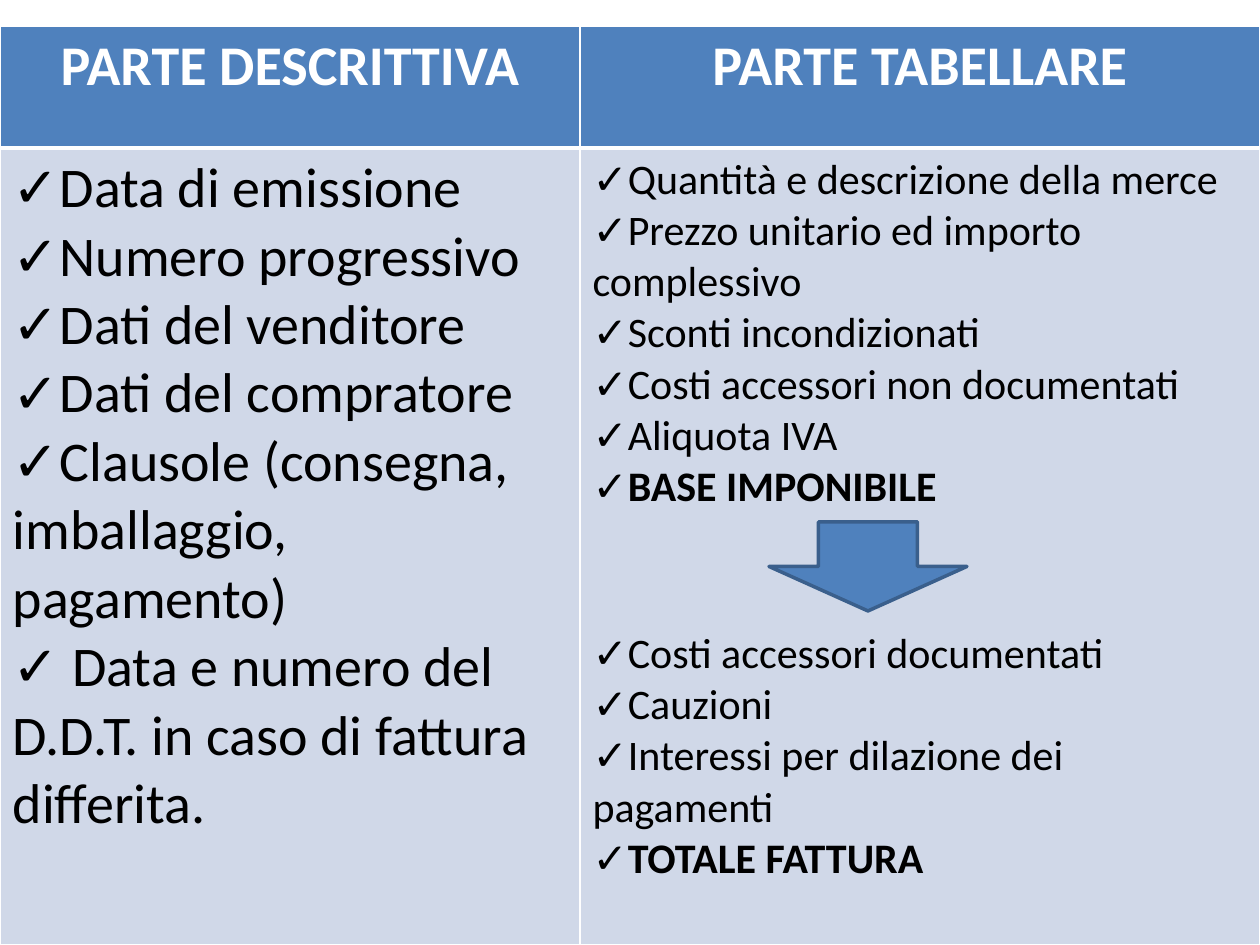
from lxml import etree
from pptx import Presentation, util as u
from pptx.dml.color import RGBColor
from pptx.enum import shapes, text
from pptx.oxml.ns import qn

PX = 914400 / 126
COLORS = {"header": "4F81BD", "body": "D0D8E8", "border": "FFFFFF",
          "header_text": "FFFFFF", "body_text": "000000", "arrow_line": "3A5F8C"}
FONT = "Calibri"
CHECK = "✓"
ARROW_GAP = 66  # points left free for the arrow

COLUMNS = [
    {"title": "PARTE DESCRITTIVA", "width": 580, "size": 32, "items": [
        "Data di emissione",
        "Numero progressivo",
        "Dati del venditore",
        "Dati del compratore",
        "Clausole (consegna, imballaggio, pagamento)",
        " Data e numero del D.D.T. in caso di fattura differita."]},
    {"title": "PARTE TABELLARE", "width": 680, "size": 24, "items": [
        "Quantità e descrizione della merce",
        "Prezzo unitario ed importo complessivo",
        "Sconti incondizionati",
        "Costi accessori non documentati",
        "Aliquota IVA",
        "BASE IMPONIBILE",
        "Costi accessori documentati",
        "Cauzioni",
        "Interessi per dilazione dei pagamenti",
        "TOTALE FATTURA"]},
]
TOTALS = ("BASE IMPONIBILE", "TOTALE FATTURA")
AFTER_ARROW = "Costi accessori documentati"
ROW_HEIGHTS = (122, 797)
TABLE_TOP = 26
ARROW_BOX = (769, 522, 198, 89)


def px(length):
    return u.Emu(round(length * PX))


def color(name):
    return RGBColor.from_string(COLORS[name])


def add_run(paragraph, words, size, bold, color_name):
    run = paragraph.add_run()
    run.text = words
    run.font.name = FONT
    run.font.size = u.Pt(size)
    run.font.bold = bold
    run.font.color.rgb = color(color_name)


def add_bullet(paragraph):
    properties = paragraph._p.get_or_add_pPr()
    etree.SubElement(properties, qn("a:buFont")).set("typeface", FONT)
    etree.SubElement(properties, qn("a:buChar")).set("char", CHECK)


def style_cell(cell, fill, **widths):
    """Fill the cell and draw its borders, widths in points by side (L, R, T, B)."""
    cell.fill.solid()
    cell.fill.fore_color.rgb = color(fill)
    properties = cell._tc.get_or_add_tcPr()
    for position, side in enumerate("LRTB"):
        line = etree.Element(qn(f"a:ln{side}"), w=str(u.Pt(widths.get(side, 1))))
        solid = etree.SubElement(line, qn("a:solidFill"))
        etree.SubElement(solid, qn("a:srgbClr")).set("val", COLORS["border"])
        properties.insert(position, line)


def add_invoice_table(slide):
    total_width = sum(column["width"] for column in COLUMNS)
    table = slide.shapes.add_table(
        len(ROW_HEIGHTS), len(COLUMNS), 0, px(TABLE_TOP),
        px(total_width), px(sum(ROW_HEIGHTS))).table
    table.horz_banding = False
    for row, height in zip(table.rows, ROW_HEIGHTS):
        row.height = px(height)

    for index, column in enumerate(COLUMNS):
        table.columns[index].width = px(column["width"])
        header, body = table.cell(0, index), table.cell(1, index)
        style_cell(header, "header", B=3)
        style_cell(body, "body", T=3)

        title = header.text_frame.paragraphs[0]
        title.alignment = text.PP_ALIGN.CENTER
        add_run(title, column["title"], 32, True, "header_text")

        for number, item in enumerate(column["items"]):
            frame = body.text_frame
            entry = frame.add_paragraph() if number else frame.paragraphs[0]
            if item == AFTER_ARROW:
                entry.space_before = u.Pt(ARROW_GAP)
            add_bullet(entry)
            add_run(entry, item, column["size"], item in TOTALS, "body_text")


def add_arrow(slide):
    arrow = slide.shapes.add_shape(
        shapes.MSO_SHAPE.DOWN_ARROW, *(px(length) for length in ARROW_BOX))
    arrow.shadow.inherit = False
    arrow.fill.solid()
    arrow.fill.fore_color.rgb = color("header")
    arrow.line.color.rgb = color("arrow_line")
    arrow.line.width = u.Pt(2)


def main():
    deck = Presentation()
    deck.slide_width, deck.slide_height = px(1260), px(945)
    slide = deck.slides.add_slide(deck.slide_layouts[6])
    add_invoice_table(slide)
    add_arrow(slide)
    deck.save("out.pptx")


if __name__ == "__main__":
    main()
